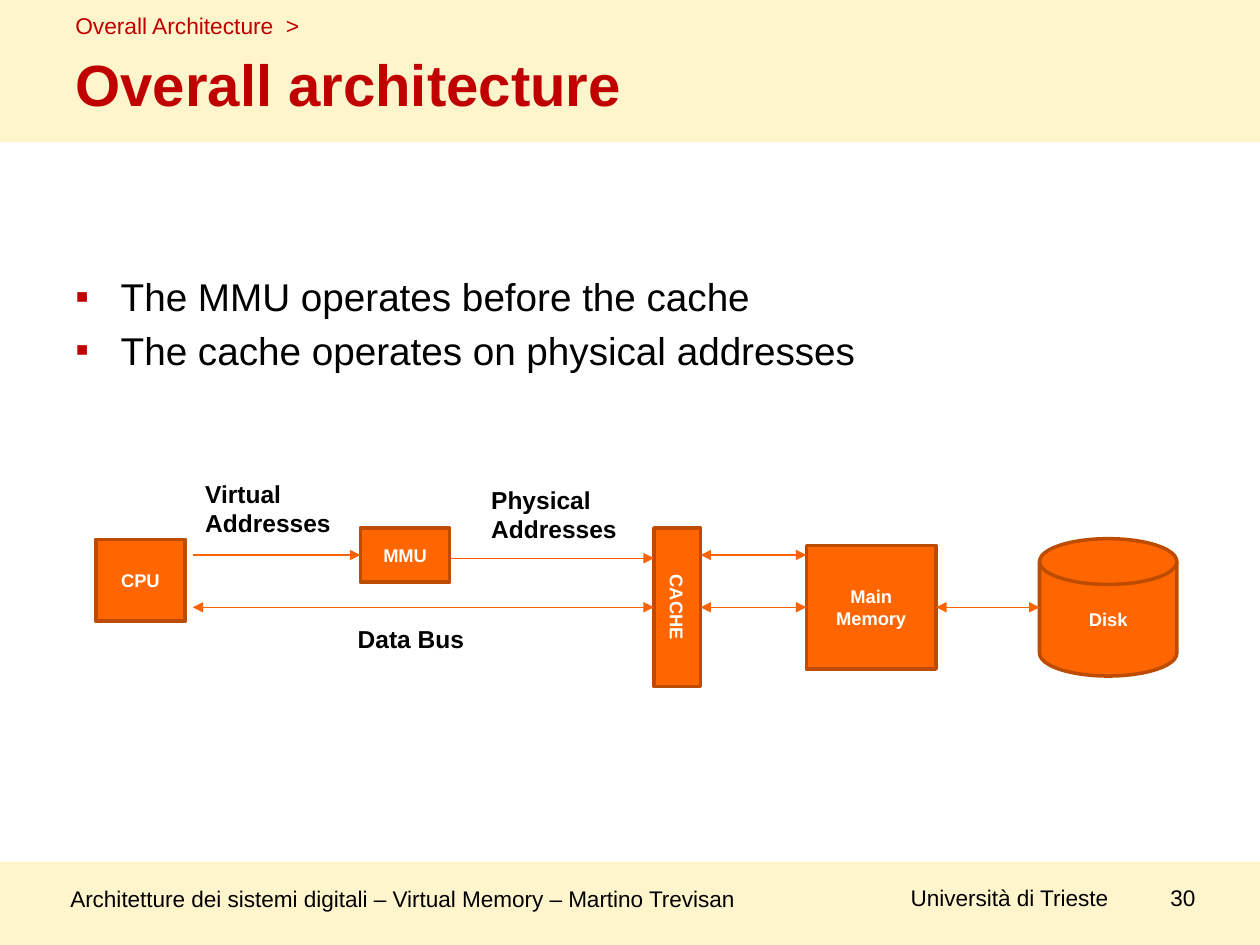
from lxml.etree import SubElement
from pptx import Presentation
from pptx.dml.color import RGBColor
from pptx.enum.shapes import MSO_CONNECTOR as CONN, MSO_SHAPE as SHAPE
from pptx.enum.text import MSO_ANCHOR as ANCHOR, PP_ALIGN as ALIGN
from pptx.oxml.ns import qn
from pptx.util import Inches, Pt

COLORS = {"band": "FFF5CC", "red": "C00000", "black": "000000", "white": "FFFFFF",
          "orange": "FF6600", "edge": "BD4B00", "wire": "F96400"}

# Lengths are in hundredths of the slide's width: the slide is 100 by 75.
BANDS = [(0, 0, 100, 11.3), (0, 68.4, 100, 6.6)]

# text, left, top, width, height, size, color, bold, anchor, space before
TEXTS = [
    ("Overall Architecture  >", 5, 0, 89.4, 4, 13, "red", False, ANCHOR.MIDDLE, 0),
    ("Overall architecture", 5, 4.4, 89.4, 5.5, 33.2, "red", True, ANCHOR.BOTTOM, 0),
    ("Data Bus", 27.4, 49, 10.9, 3.4, 14, "black", True, ANCHOR.TOP, 0),
    ("Virtual Addresses", 15.3, 37.5, 13.1, 5.7, 14, "black", True, ANCHOR.TOP, 0),
    ("Physical Addresses", 38, 38, 14.5, 5.7, 14, "black", True, ANCHOR.TOP, 0),
    ("Architetture dei sistemi digitali – Virtual Memory – Martino Trevisan",
     4.6, 69.2, 58, 4.3, 12.9, "black", False, ANCHOR.MIDDLE, 7),
    ("Università di Trieste", 71.3, 69.1, 18.7, 4.3, 12.9, "black", False, ANCHOR.MIDDLE, 7),
    ("30", 91.9, 69.1, 5.1, 4.3, 12.9, "black", False, ANCHOR.MIDDLE, 7),
]

BULLETS = ["The MMU operates before the cache",
           "The cache operates on physical addresses"]

ADDRESS_ROW, PHYSICAL_ROW, BUS_ROW = 44.05, 44.3, 48.2
CPU_PORT = 15.3

# name: left, middle, width, height
BLOCKS = {
    "CPU": (7.6, 46.05, 7.1, 6.5),
    "MMU": (28.6, ADDRESS_ROW, 7.1, 4.3),
    "CACHE": (51.9, BUS_ROW, 3.7, 12.6),
    "Main Memory": (64, BUS_ROW, 10.3, 9.8),
    "Disk": (82.5, BUS_ROW, 10.9, 10.9),
}

# start, end, row, two-way
WIRES = [
    (CPU_PORT, "MMU", ADDRESS_ROW, False),
    (CPU_PORT, "CACHE", BUS_ROW, True),
    ("CACHE", "Main Memory", BUS_ROW, True),
    ("Main Memory", "Disk", BUS_ROW, True),
    ("CACHE", "Main Memory", ADDRESS_ROW, True),
    ("MMU", "CACHE", PHYSICAL_ROW, False),
]

prs = Presentation()
prs.slide_width, prs.slide_height = Inches(10), Inches(7.5)
s = prs.slides.add_slide(prs.slide_layouts[6])


def units(*values):
    return [int(prs.slide_width * v / 100) for v in values]


def rgb(name):
    return RGBColor.from_string(COLORS[name])


def write(p, text, size, color, bold=False):
    r = p.add_run()
    r.text = text
    for key, value in {"name": "Arial", "size": Pt(size), "bold": bold}.items():
        setattr(r.font, key, value)
    r.font.color.rgb = rgb(color)


def add_text(box, anchor=ANCHOR.TOP):
    tf = s.shapes.add_textbox(*units(*box)).text_frame
    tf.word_wrap, tf.vertical_anchor = True, anchor
    return tf


def add_filled(kind, box, fill, edge=None):
    sp = s.shapes.add_shape(kind, *units(*box))
    sp.shadow.inherit = False
    sp.fill.solid()
    sp.fill.fore_color.rgb = rgb(fill)
    if edge:
        sp.line.color.rgb, sp.line.width = rgb(edge), Pt(2)
    else:
        sp.line.fill.background()
    return sp


def add_bullet(p):
    pPr = p._p.get_or_add_pPr()
    indent = Inches(0.36)
    pPr.set("marL", str(indent))
    pPr.set("indent", str(-indent))
    SubElement(SubElement(pPr, qn("a:buClr")), qn("a:srgbClr"), val=COLORS["red"])
    SubElement(pPr, qn("a:buFont"), typeface="Arial")
    SubElement(pPr, qn("a:buChar"), char="▪")


def add_block(name, left, middle, width, height):
    kind = SHAPE.FLOWCHART_MAGNETIC_DISK if name == "Disk" else SHAPE.RECTANGLE
    sp = add_filled(kind, (left, middle - height / 2, width, height), "orange", "edge")
    tf = sp.text_frame
    tf.word_wrap, tf.vertical_anchor = True, ANCHOR.MIDDLE
    if name == "CACHE":
        tf._txBody.bodyPr.set("vert", "vert")
    p = tf.paragraphs[0]
    p.alignment = ALIGN.CENTER
    write(p, name, 10.5, "white", True)
    return sp


def add_wire(start, end, row, two_way):
    """Draw a level arrow, joined to each rectangle whose middle lies on its row."""
    x1 = BLOCKS[start][0] + BLOCKS[start][2] if start in BLOCKS else start
    x2 = BLOCKS[end][0]
    cx = s.shapes.add_connector(CONN.STRAIGHT, *units(x1, row, x2, row))
    for name, join, site in ((start, cx.begin_connect, 3), (end, cx.end_connect, 1)):
        if name in BLOCKS and name != "Disk" and BLOCKS[name][1] == row:
            join(blocks[name], site)
    cx.line.color.rgb, cx.line.width = rgb("wire"), Pt(0.75)
    ln = cx.line._get_or_add_ln()
    for tag in ("a:headEnd", "a:tailEnd") if two_way else ("a:tailEnd",):
        SubElement(ln, qn(tag), type="triangle")
    SubElement(cx._element.spPr, qn("a:effectLst"))


for band in BANDS:
    add_filled(SHAPE.RECTANGLE, band, "band")

for text, left, top, width, height, size, color, bold, anchor, before in TEXTS:
    p = add_text((left, top, width, height), anchor).paragraphs[0]
    p.space_before = Pt(before)
    write(p, text, size, color, bold)

tf = add_text((5, 21.2, 89.4, 42.4))
for i, text in enumerate(BULLETS):
    p = tf.add_paragraph() if i else tf.paragraphs[0]
    p.space_before = p.space_after = Pt(1.9)
    add_bullet(p)
    write(p, text, 22.1, "black")

blocks = {name: add_block(name, *place) for name, place in BLOCKS.items()}
for wire in WIRES:
    add_wire(*wire)

prs.save("out.pptx")
